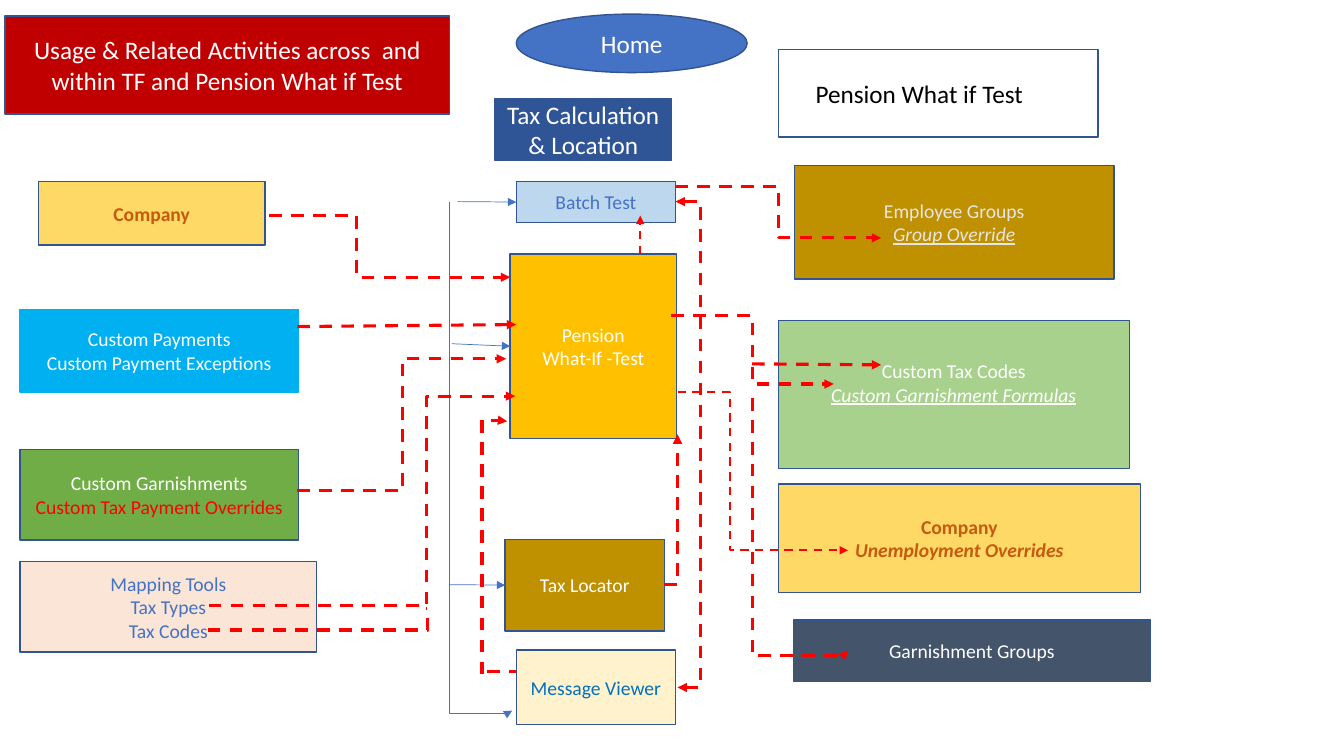
from lxml import etree
from pptx import Presentation
from pptx import util as u
from pptx.dml.color import RGBColor
from pptx.enum import dml, shapes, text
from pptx.oxml.ns import qn

PX = 9144  # EMU per px, 100 px to the inch
FONT = "Calibri"

WHITE = RGBColor(0xFF, 0xFF, 0xFF)
BLACK = RGBColor(0, 0, 0)
PALE_GREY = RGBColor(0xE7, 0xE6, 0xE6)
BLUE = RGBColor(0x44, 0x72, 0xC4)
BORDER = RGBColor(0x32, 0x54, 0x91)
NAVY = RGBColor(0x2F, 0x55, 0x97)
SLATE = RGBColor(0x44, 0x54, 0x6A)
PALE_BLUE = RGBColor(0xBD, 0xD7, 0xEE)
SKY = RGBColor(0x00, 0xB0, 0xF0)
LINK_BLUE = RGBColor(0x00, 0x70, 0xC0)
AMBER = RGBColor(0xFF, 0xC0, 0x00)
BRONZE = RGBColor(0xBF, 0x90, 0x00)
SAND = RGBColor(0xFF, 0xD9, 0x66)
CREAM = RGBColor(0xFF, 0xF2, 0xCC)
PEACH = RGBColor(0xFB, 0xE5, 0xD6)
RUST = RGBColor(0xC5, 0x5A, 0x11)
GREEN = RGBColor(0x70, 0xAD, 0x47)
PALE_GREEN = RGBColor(0xA9, 0xD1, 0x8E)
RED = RGBColor(0xFF, 0, 0)
DARK_RED = RGBColor(0xC0, 0, 0)

RECT = shapes.MSO_SHAPE.RECTANGLE
OVAL = shapes.MSO_SHAPE.OVAL
UNDERLINED = dict(italic=True, underline=True)

TITLE = "Usage & Related Activities across  and within TF and Pension What if Test"
TITLE_AT = (5, 16, 441, 97)
HEADING = "Pension What if Test"
HEADING_AT = (799, 73, 228, 40)

# name: (left, top, width, height), fill, lines of text, text format, box options
BOXES = {
    "batch": ((512, 180, 158, 41), PALE_BLUE, ["Batch Test"], dict(color=BLUE), {}),
    "pension": ((506, 252, 165, 183), AMBER, ["Pension", "What-If -Test"], {}, {}),
    "locator": ((501, 535, 158, 91), BRONZE, ["Tax Locator"], {}, {}),
    "viewer": ((512, 645, 158, 74), CREAM, ["Message Viewer"], dict(color=LINK_BLUE), {}),
    "home": ((512, 14, 229, 58), BLUE, ["Home"], dict(size=18), dict(kind=OVAL)),
    "calculation": ((491, 98, 175, 61), NAVY, ["Tax Calculation & Location"], dict(size=18), {}),
    "employees": ((788, 164, 317, 113), BRONZE,
                  ["Employee Groups", ("Group Override", UNDERLINED)], dict(color=PALE_GREY), {}),
    "company": ((38, 180, 225, 63), SAND, ["Company"], dict(color=RUST, bold=True), {}),
    "tax codes": ((772, 318, 348, 147), PALE_GREEN,
                  ["Custom Tax Codes", ("Custom Garnishment Formulas", UNDERLINED)], {},
                  dict(bottom=29)),
    "groups": ((787, 615, 354, 61), SLATE, ["Garnishment Groups"], {}, {}),
    "payments": ((20, 307, 276, 82), SKY,
                 ["Custom Payments", "Custom Payment Exceptions"], {}, dict(border=SKY)),
    "garnishments": ((20, 446, 276, 90), GREEN,
                     ["Custom Garnishments", ("Custom Tax Payment Overrides", dict(color=RED))],
                     {}, {}),
    "mapping": ((20, 557, 294, 90), PEACH,
                ["Mapping Tools", "Tax Types", "Tax Codes"], dict(color=BLUE), {}),
    "unemployment": ((772, 480, 359, 108), SAND,
                     ["Company", ("Unemployment Overrides", dict(italic=True))],
                     dict(color=RUST, bold=True), {}),
    "heading": ((772, 49, 317, 87), None, [], {}, {}),
}

THIN = dict(color=BLUE, width=0.5, dash=False)
MEDIUM = dict(width=1.5)
PLAIN = dict(tail=False)

# begin, end, options; bend is the x (or, if vertical, the y) of the middle leg
BACK_LINES = [((202, 214), (506, 275), dict(bend=354))]
LINES = [
    ((446, 200), (508, 705), dict(bend=708, vertical=True, **THIN)),
    ((454, 200), (512, 200), dict(join=("batch", 1), **THIN)),
    ((448, 341), (506, 343), dict(join=("pension", 1), **THIN)),
    ((446, 580), (501, 580), dict(join=("locator", 1), **THIN)),
    ((670, 200), (672, 682), dict(bend=695, head=True)),
    ((670, 185), (874, 236), dict(bend=772)),
    ((666, 313), (827, 381), dict(bend=746)),
    ((746, 395), (841, 645), dict(bend=650, vertical=True)),
    ((746, 361), (874, 362), {}),
    ((295, 487), (502, 356), dict(bend=399)),
    ((295, 324), (512, 322), {}),
    ((207, 601), (511, 393), dict(bend=423)),
    ((672, 389), (841, 546), dict(bend=724, **MEDIUM)),
    ((635, 252), (635, 214), MEDIUM),
    ((206, 625), (423, 604), dict(bend=424, **PLAIN)),
    ((478, 669), (503, 418), dict(bend=417, vertical=True)),
    ((483, 666), (512, 666), PLAIN),
    ((659, 580), (672, 431), dict(corner=True)),
]


def px(*lengths):
    return [round(n * PX) for n in lengths]


def write(tf, lines, size=14, color=WHITE, align=text.PP_ALIGN.CENTER, **fmt):
    """One paragraph per line; a line may be (text, format that overrides)."""
    for i, line in enumerate(lines):
        words, own = line if isinstance(line, tuple) else (line, {})
        p = tf.paragraphs[0] if i == 0 else tf.add_paragraph()
        p.alignment = align
        r = p.add_run()
        r.text = words
        look = {"color": color, **fmt, **own}
        r.font.name, r.font.size = FONT, u.Pt(size)
        r.font.color.rgb = look.pop("color")
        for name, value in look.items():
            setattr(r.font, name, value)


def paint(sp, fill, border=BORDER):
    if fill is None:
        sp.fill.background()
    else:
        sp.fill.solid()
        sp.fill.fore_color.rgb = fill
    sp.line.color.rgb = border
    sp.line.width = u.Pt(1)
    sp.shadow.inherit = False


def add_box(s, at, fill, lines, fmt, kind=RECT, border=BORDER, bottom=5):
    sp = s.shapes.add_shape(kind, *px(*at))
    paint(sp, fill, border)
    tf = sp.text_frame
    tf.word_wrap = True
    tf.vertical_anchor = text.MSO_ANCHOR.MIDDLE
    tf.margin_bottom = px(bottom)[0]
    write(tf, lines, **fmt)
    return sp


def add_line(s, boxes, begin, end, color=RED, width=2.25, dash=True, head=False, tail=True,
             bend=None, vertical=False, corner=False, join=None):
    (x1, y1), (x2, y2) = begin, end
    elbow = corner or bend is not None
    kind = shapes.MSO_CONNECTOR.ELBOW if elbow else shapes.MSO_CONNECTOR.STRAIGHT
    if vertical:  # the frame lies on its side about the same centre
        mx, my = (x1 + x2) / 2, (y1 + y2) / 2
        w, h = abs(y2 - y1) / 2, abs(x2 - x1) / 2
        cx = s.shapes.add_connector(kind, *px(mx - w, my - h, mx + w, my + h))
        cx.rotation = 270 if y2 > y1 else 90
        xfrm = cx._element.spPr.find(qn("a:xfrm"))
        xfrm.set("flipH", "1")
        if y2 < y1:
            xfrm.set("flipV", "1")
    else:
        cx = s.shapes.add_connector(kind, *px(x1, y1, x2, y2))
    spPr = cx._element.spPr
    geom = spPr.find(qn("a:prstGeom"))
    if corner:
        geom.set("prst", "bentConnector2")
    elif elbow:
        share = (bend - y1) / (y2 - y1) if vertical else (bend - x1) / (x2 - x1)
        etree.SubElement(geom.find(qn("a:avLst")), qn("a:gd"),
                         name="adj1", fmla=f"val {round(share * 100000)}")
    if join:
        name, side = join
        cx.end_connect(boxes[name], side)
    cx.line.color.rgb = color
    cx.line.width = u.Pt(width)
    if dash:
        cx.line.dash_style = dml.MSO_LINE.DASH
    ln = spPr.find(qn("a:ln"))
    for tag, shown in (("a:headEnd", head), ("a:tailEnd", tail)):
        if shown:
            etree.SubElement(ln, qn(tag), type="triangle")
    etree.SubElement(spPr, qn("a:effectLst"))


def main():
    prs = Presentation()
    prs.slide_width, prs.slide_height = px(1333, 750)
    s = prs.slides.add_slide(prs.slide_layouts[5])

    title = s.shapes.title
    title.left, title.top, title.width, title.height = px(*TITLE_AT)
    paint(title, DARK_RED)
    tf = title.text_frame
    tf.word_wrap = True
    tf.auto_size = text.MSO_AUTO_SIZE.NONE
    tf.vertical_anchor = text.MSO_ANCHOR.MIDDLE
    write(tf, [TITLE], size=18)

    boxes = {}
    for begin, end, options in BACK_LINES:
        add_line(s, boxes, begin, end, **options)
    for name, (at, fill, lines, fmt, options) in BOXES.items():
        boxes[name] = add_box(s, at, fill, lines, fmt, **options)
    for begin, end, options in LINES:
        add_line(s, boxes, begin, end, **options)

    tf = s.shapes.add_textbox(*px(*HEADING_AT)).text_frame
    tf.word_wrap = False
    write(tf, [HEADING], size=18, color=BLACK, align=text.PP_ALIGN.LEFT)
    prs.save("out.pptx")


if __name__ == "__main__":
    main()
